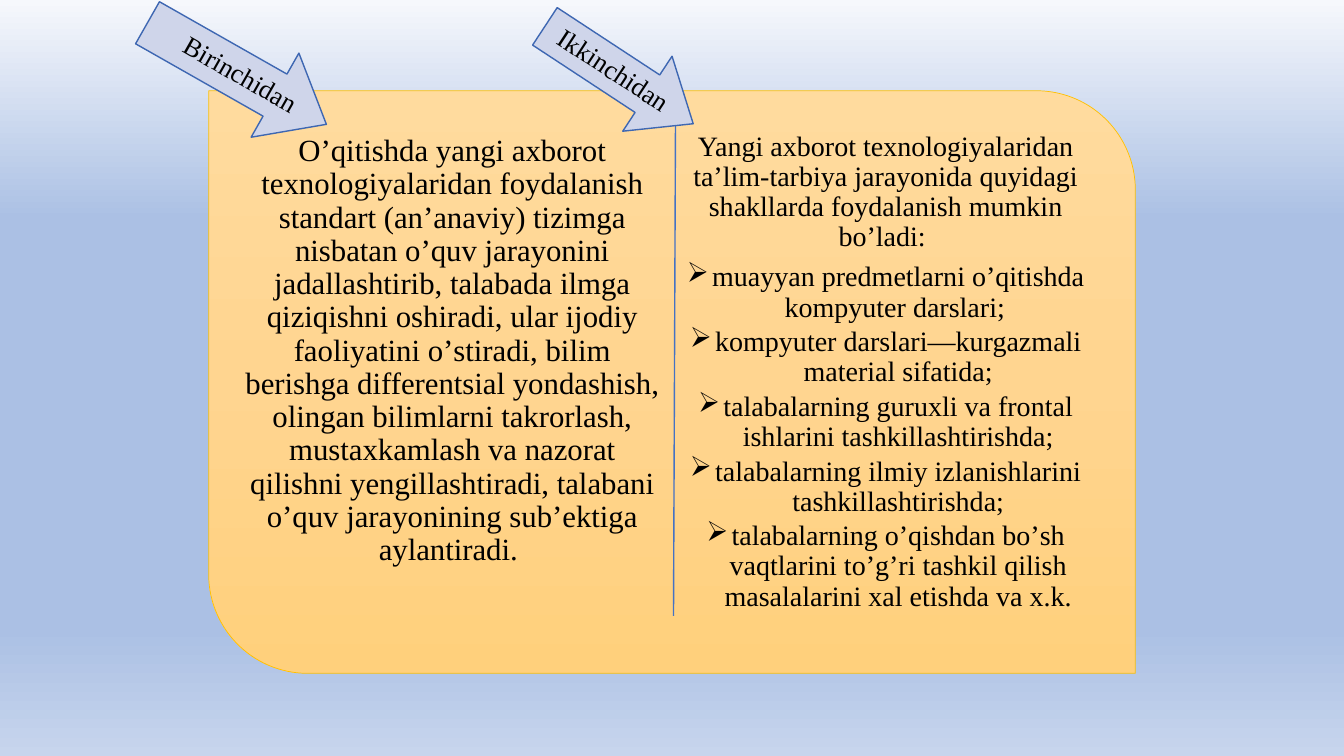
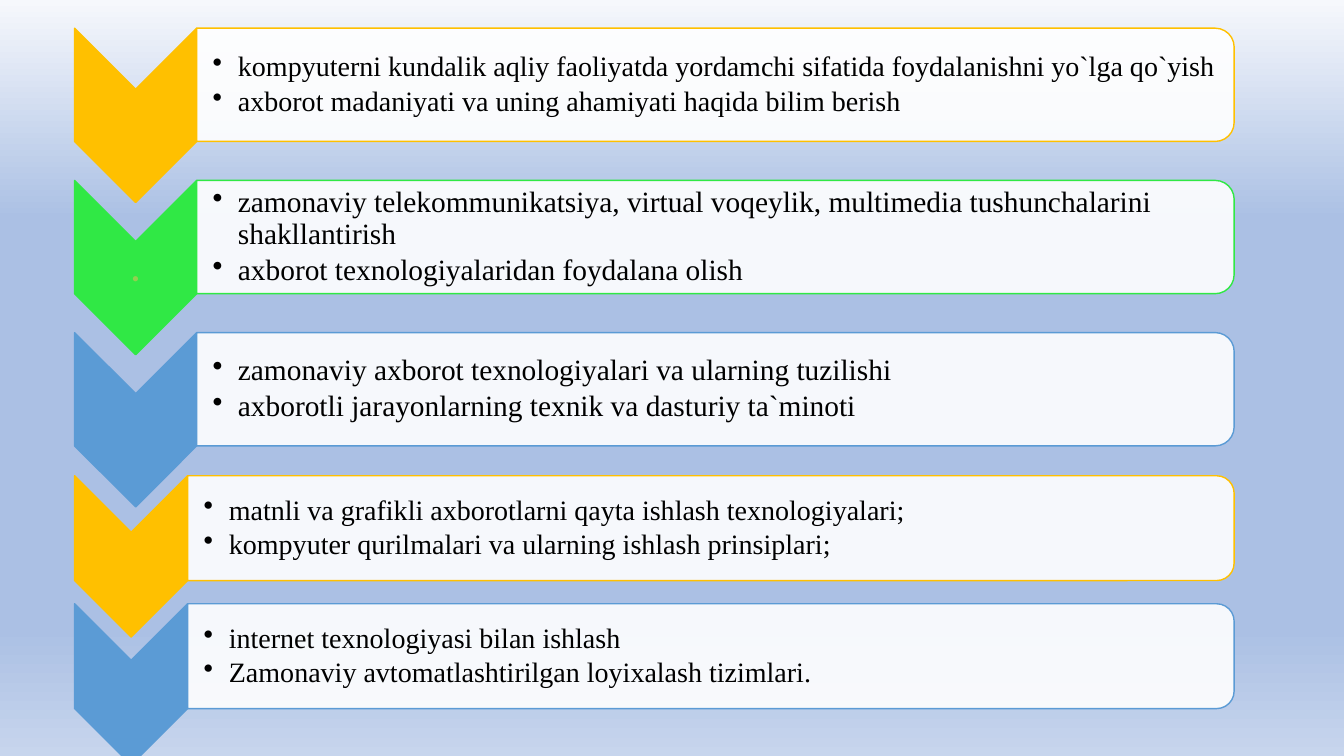
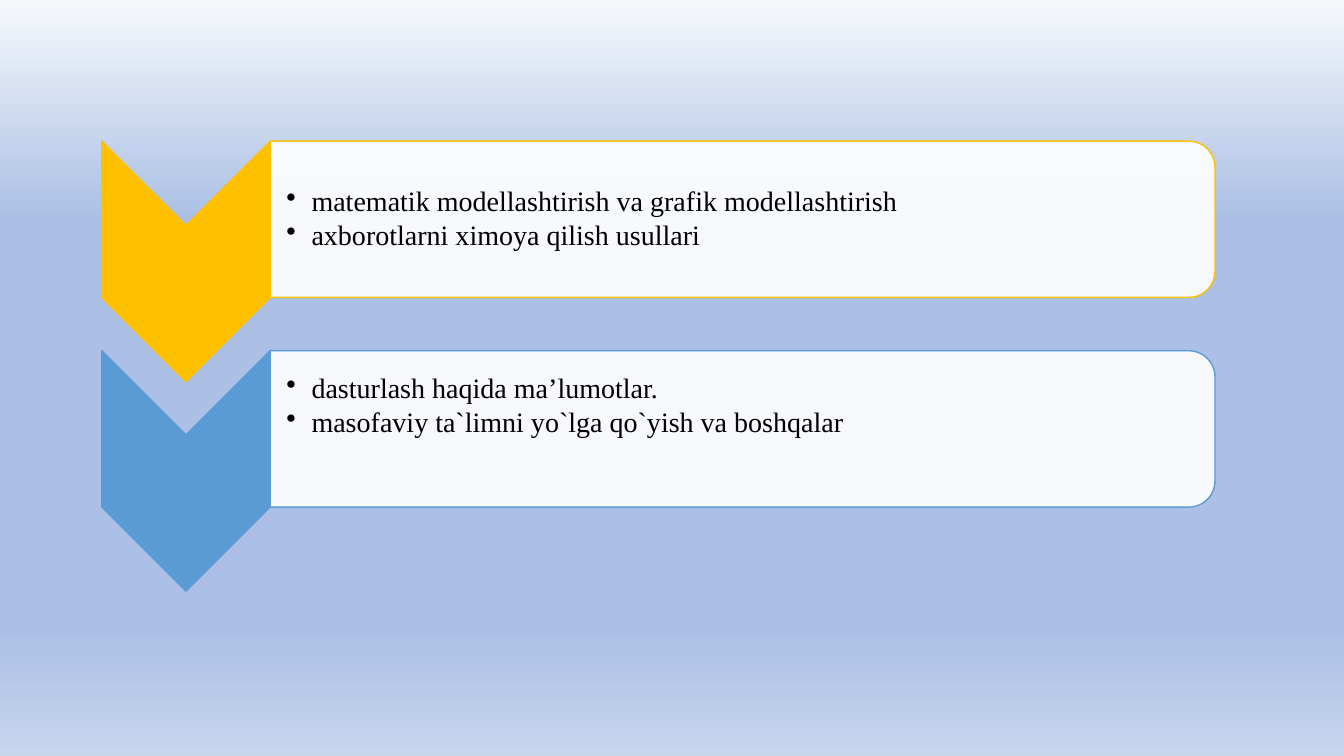
from math import cos, radians, sin

from lxml.etree import SubElement
from pptx import Presentation
from pptx.dml.color import RGBColor
from pptx.enum.shapes import MSO_CONNECTOR, MSO_SHAPE
from pptx.enum.text import MSO_ANCHOR, PP_ALIGN
from pptx.oxml.ns import qn
from pptx.util import Inches, Pt

SERIF = "Times New Roman"
BLACK = "000000"
WHITE = "FFFFFF"
GOLD = "FFC000"
GREEN = "30E845"
LIGHT_GREEN = "92D050"
BLUE = "5B9BD5"
DIVIDER_BLUE = "4472C4"
ARROW_FILL = "CFD5EA"
ARROW_EDGE = "3E67B2"
SKY = [(0, "F6F8FC"), (29, "ABC0E4"), (83, "ABC0E4"), (100, "C7D5ED")]
AMBER = [(0, "FFDB9E"), (50, "FFD590"), (100, "FFD07C")]

FIRST_TEXT = (
    "O’qitishda yangi ахborot teхnologiyalaridan foydalanish standart (an’anaviy) "
    "tizimga nisbatan о’quv jarayonini jadallashtirib, talabada ilmga qiziqishni "
    "oshiradi, ular ijodiy faoliyatini о’stiradi, bilim berishga differentsial "
    "yondashish, olingan bilimlarni takrorlash, mustaхkamlash va nazorat qilishni "
    "yengillashtiradi, talabani о’quv jarayonining sub’ektiga aylantiradi. "
)
SECOND_TEXT = (
    "Yangi ахborot teхnologiyalaridan ta’lim-tarbiya jarayonida quyidagi "
    "shakllarda foydalanish mumkin bо’ladi: "
)
USES = [
    "muayyan predmetlarni o’qitishda kоmpyuter darslari; ",
    "kоmpyuter darslari—kurgazmali material sifatida;",
    "talabalarning guruhli va frontal ishlarini tashkillashtirishda;",
    "talabalarning ilmiy izlanishlarini tashkillashtirishda;",
    "talabalarning о’qishdan bо’sh vaqtlarini tо’g’ri tashkil qilish masalalarini "
    "хal etishda va х.k.",
]
USES[2] = USES[2].replace("guruhli", "guruхli")

MAIN_GOALS = [
    (GOLD, 20, [
        "kоmpyuterni kundalik aqliy faoliyatda yordamchi sifatida foydalanishni yo`lga qo`yish",
        "ахborot madaniyati va uning ahamiyati haqida bilim berish",
    ]),
    (GREEN, 21, [
        "zamonaviy telekommunikatsiya, virtual voqeylik, multimedia tushunchalarini shakllantirish",
        "ахborot teхnologiyalaridan foydalana olish",
    ]),
    (BLUE, 21, [
        "zamonaviy ахborot teхnologiyalari va ularning tuzilishi",
        "ахborotli jarayonlarning teхnik va dasturiy ta`minoti",
    ]),
]
SKILL_GOALS = [
    (GOLD, 20, [
        "matnli va grafikli ахborotlarni qayta ishlash teхnologiyalari;",
        "kоmpyutеr qurilmalari va ularning ishlash prinsiplari;",
    ]),
    (BLUE, 20, [
        "internet teхnologiyasi bilan ishlash",
        "Zamonaviy avtomatlashtirilgan loyiхalash tizimlari.",
    ]),
]
MODELLING_GOALS = [
    (GOLD, 20, [
        "matematik modellashtirish va grafik modellashtirish",
        "ахborotlarni хimoya qilish usullari",
    ]),
    (BLUE, 20, [
        "dasturlash haqida ma’lumоtlar.",
        "masofaviy ta`limni yo`lga qo`yish va boshqalar",
    ]),
]


def rgb(value):
    """Turn a hex string into a colour."""
    return RGBColor.from_string(value)


def set_gradient(fill, element, stops):
    """Give the fill a top-to-bottom gradient with the given stops."""
    fill.gradient()
    fill.gradient_angle = 270
    stop_list = element.find(".//" + qn("a:gsLst"))
    for old_stop in list(stop_list):
        stop_list.remove(old_stop)
    for percent, colour in stops:
        stop = SubElement(stop_list, qn("a:gs"), pos=str(percent * 1000))
        SubElement(stop, qn("a:srgbClr"), val=colour)


def add_outlined(slide, preset, box, fill, edge, edge_width=1.0, rotation=0):
    """Add a flat preset shape; fill is a hex colour or a list of stops."""
    shape = slide.shapes.add_shape(preset, *map(Inches, box))
    shape.shadow.inherit = False
    shape.rotation = rotation
    if isinstance(fill, list):
        set_gradient(shape.fill, shape.element, fill)
    else:
        shape.fill.solid()
        shape.fill.fore_color.rgb = rgb(fill)
    shape.line.color.rgb = rgb(edge)
    shape.line.width = Pt(edge_width)
    return shape


def add_turned(slide, preset, box, fill, edge):
    """Add a shape turned by 90 degrees so that it covers the box."""
    left, top, width, height = box
    shift = (width - height) / 2
    turned = (left + shift, top - shift, height, width)
    return add_outlined(slide, preset, turned, fill, edge, rotation=90)


def add_text_box(slide, box, insets, anchor=MSO_ANCHOR.TOP):
    """Add a wrapping text box and return it."""
    holder = slide.shapes.add_textbox(*map(Inches, box))
    frame = holder.text_frame
    frame.word_wrap = True
    frame.vertical_anchor = anchor
    (frame.margin_left, frame.margin_top,
     frame.margin_right, frame.margin_bottom) = map(Inches, insets)
    return holder


def write_paragraphs(frame, texts, size, align, bullet=None, colour=BLACK, font=SERIF):
    """Append paragraphs to the frame, with a hanging bullet if one is given."""
    for text in texts:
        started = bool(frame.paragraphs[0].runs)
        paragraph = frame.add_paragraph() if started else frame.paragraphs[0]
        paragraph.alignment = align
        paragraph.line_spacing = 0.9
        paragraph.space_after = Pt(round(size * (0.15 if bullet else 0.35), 1))
        if bullet:
            paragraph.level = 1
            properties = paragraph._p.get_or_add_pPr()
            properties.set("marL", str(Inches(0.25)))
            properties.set("indent", str(Inches(-0.25)))
            SubElement(properties, qn("a:buChar"), char=bullet)
        run = paragraph.add_run()
        run.text = text
        run.font.size = Pt(size)
        run.font.name = font
        run.font.color.rgb = rgb(colour)


def add_divider(slide, start, end):
    """Draw the thin line between the two columns."""
    divider = slide.shapes.add_connector(
        MSO_CONNECTOR.STRAIGHT, *map(Inches, start + end))
    divider.line.color.rgb = rgb(DIVIDER_BLUE)
    divider.line.width = Pt(1)
    SubElement(divider.element.spPr, qn("a:effectLst"))


def add_arrow_label(slide, box, angle, label):
    """Draw a slanted arrow with its label set along the shaft."""
    left, top, width, height = box
    arrow = add_outlined(slide, MSO_SHAPE.RIGHT_ARROW, box, ARROW_FILL, ARROW_EDGE,
                         rotation=angle)
    arrow.adjustments[0] = 0.5
    arrow.adjustments[1] = 0.61
    label_width, label_height = width * 0.86, height / 2
    back = (width - label_width) / 2
    center_x = left + width / 2 - back * cos(radians(angle))
    center_y = top + height / 2 - back * sin(radians(angle))
    label_box = (center_x - label_width / 2, center_y - label_height / 2,
                 label_width, label_height)
    holder = add_text_box(slide, label_box, [0.08] * 4, MSO_ANCHOR.MIDDLE)
    holder.rotation = angle
    write_paragraphs(holder.text_frame, [label], 19, PP_ALIGN.RIGHT)


def add_two_columns(slide, box):
    """Draw the amber panel with its two columns and arrows."""
    left, top, width, height = box
    panel = add_outlined(slide, MSO_SHAPE.ROUND_2_DIAG_RECTANGLE, box, AMBER, GOLD, 0.5)
    panel.adjustments[0] = 0
    panel.adjustments[1] = 0.17
    add_divider(slide, (left + 4.63, top + 0.3), (left + 4.61, top + 5.21))
    first = add_text_box(slide, (left + 0.24, top + 0.35, 4.35, 5.04), [0.09] * 4)
    write_paragraphs(first.text_frame, [FIRST_TEXT], 22, PP_ALIGN.CENTER)
    second = add_text_box(slide, (left + 4.6, top + 0.33, 4.23, 5.43), [0.08] * 4)
    write_paragraphs(second.text_frame, [SECOND_TEXT], 20, PP_ALIGN.CENTER)
    write_paragraphs(second.text_frame, USES, 20, PP_ALIGN.CENTER, "➢")
    add_arrow_label(slide, (left - 0.74, top - 0.65, 2.04, 0.96), 29.6, "Birinchidan")
    add_arrow_label(slide, (left + 3.19, top - 0.6, 1.76, 0.89), 33.3, "Ikkinchidan")


def add_goal_row(slide, box, chevron_width, goal, bottom_inset=0.01):
    """Draw one chevron and the bar of bullets beside it."""
    left, top, width, chevron_height = box
    colour, size, points = goal
    add_turned(slide, MSO_SHAPE.CHEVRON, (left, top, chevron_width, chevron_height),
               colour, colour)
    if colour == GREEN:
        dot_height = 0.3 * chevron_height
        dot_top = top + (chevron_height - dot_height) / 2
        dot = add_text_box(slide, (left, dot_top, chevron_width, dot_height),
                           [0.02] * 4, MSO_ANCHOR.MIDDLE)
        write_paragraphs(dot.text_frame, ["."], 31, PP_ALIGN.CENTER,
                         colour=LIGHT_GREEN, font="Calibri")
    bar_left, bar_width = left + chevron_width, width - chevron_width
    bar_height = 0.65 * chevron_height
    bar = add_turned(slide, MSO_SHAPE.ROUND_2_SAME_RECTANGLE,
                     (bar_left, top, bar_width, bar_height), WHITE, colour)
    white = bar.element.spPr.find(qn("a:solidFill")).find(qn("a:srgbClr"))
    SubElement(white, qn("a:alpha"), val="90000")
    pad = 0.05 * bar_height
    holder = add_text_box(
        slide, (bar_left, top + pad, bar_width - pad, bar_height - 2 * pad),
        [0.16, 0.01, 0.01, bottom_inset], MSO_ANCHOR.MIDDLE)
    write_paragraphs(holder.text_frame, points, size, PP_ALIGN.LEFT, "•")


def add_goal_list(slide, box, chevron_width, pitch, goals, last_inset=0.01):
    """Stack goal rows at an equal pitch from the top of the box."""
    left, top, width = box
    for index, goal in enumerate(goals):
        inset = last_inset if index == len(goals) - 1 else 0.01
        row = (left, top + index * pitch, width, chevron_width / 0.7)
        add_goal_row(slide, row, chevron_width, goal, inset)


def main():
    """Build the three slides and save them."""
    deck = Presentation()
    deck.slide_width, deck.slide_height = Inches(13.33), Inches(7.5)
    master = deck.slide_master
    set_gradient(master.background.fill, master.element, SKY)
    blank = deck.slide_layouts[6]
    uses, goals, modelling = [deck.slides.add_slide(blank) for _ in range(3)]
    add_two_columns(uses, (2.07, 0.9, 9.19, 5.78))
    add_goal_list(goals, (0.74, 0.28, 11.5), 1.21, 1.51, MAIN_GOALS)
    add_goal_list(goals, (0.74, 4.72, 11.5), 1.12, 1.27, SKILL_GOALS)
    add_goal_list(modelling, (1.01, 1.4, 11.04), 1.67, 2.08, MODELLING_GOALS, 0.46)
    deck.save("out.pptx")


if __name__ == "__main__":
    main()
